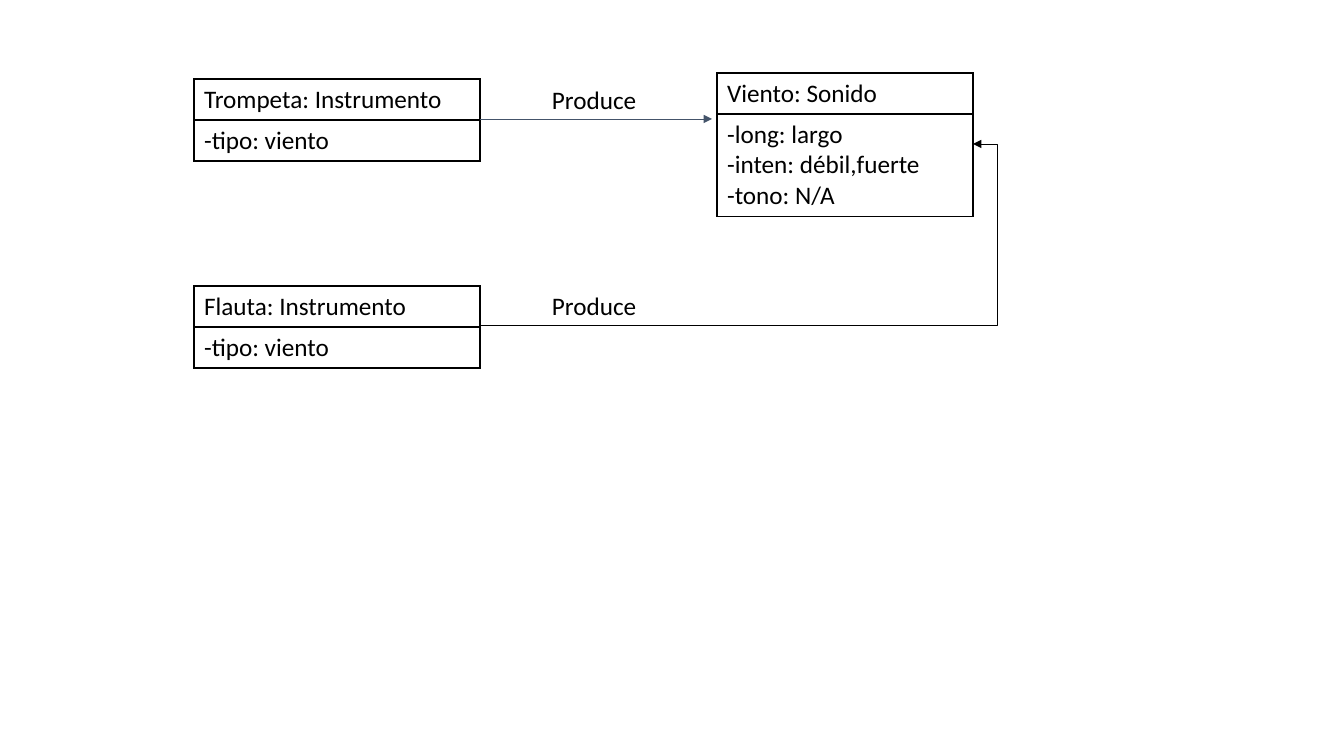
from lxml.etree import SubElement
from pptx import Presentation
from pptx.dml.color import RGBColor
from pptx.enum.shapes import MSO_CONNECTOR
from pptx.enum.text import MSO_AUTO_SIZE
from pptx.oxml import parse_xml
from pptx.oxml.ns import nsdecls, qn
from pptx.util import Pt

# Content: left, top, width, object name, attributes
OBJECTS = [
    (194, 79, 286, "Trompeta: Instrumento", ["-tipo: viento"]),
    (717, 73, 256, "Viento: Sonido",
     ["-long: largo", "-inten: débil,fuerte", "-tono: N/A"]),
    (194, 286, 286, "Flauta: Instrumento", ["-tipo: viento"]),
]
# Kind, start, end, colour key, bend as a share of the width
LINKS = [
    (MSO_CONNECTOR.STRAIGHT, (480, 119), (712, 119), "link", None),
    (MSO_CONNECTOR.ELBOW, (480, 325), (973, 144), "ink", 1.05),
]
LABELS = [("Produce", 542, 79), ("Produce", 542, 285)]
LABEL_SIZE = (106, 40)
ROW_H, LINE_H = 41, 30.5

THEME = {"font": "Calibri", "size": 18, "ink": "000000", "link": "44546A",
         "border": 1, "link_width": 0.5}


def px(n):
    return round(n * 914400 / 100.8)


def write(tf, lines):
    tf.text = "\n".join(lines)
    for p in tf.paragraphs:
        for r in p.runs:
            r.font.name = THEME["font"]
            r.font.size = Pt(THEME["size"])
            r.font.color.rgb = RGBColor.from_string(THEME["ink"])


def add_borders(cell):
    tcPr = cell._tc.get_or_add_tcPr()
    for i, side in enumerate(("lnL", "lnR", "lnT", "lnB")):
        tcPr.insert(i, parse_xml(
            f'<a:{side} {nsdecls("a")} w="{Pt(THEME["border"])}"><a:solidFill>'
            f'<a:srgbClr val="{THEME["ink"]}"/></a:solidFill></a:{side}>'))


def add_object(s, x, y, w, name, attributes):
    rows = [[name], attributes]
    heights = [ROW_H + (len(lines) - 1) * LINE_H for lines in rows]
    table = s.shapes.add_table(2, 1, px(x), px(y), px(w), px(sum(heights))).table
    table.first_row = table.horz_banding = False
    for i, (lines, height) in enumerate(zip(rows, heights)):
        table.rows[i].height = px(height)
        cell = table.cell(i, 0)
        write(cell.text_frame, lines)
        cell.fill.background()
        add_borders(cell)


def add_link(s, kind, start, end, colour, bend):
    link = s.shapes.add_connector(kind, *map(px, start + end))
    link.line.color.rgb = RGBColor.from_string(THEME[colour])
    link.line.width = Pt(THEME["link_width"])
    SubElement(link.line._get_or_add_ln(), qn("a:tailEnd"), type="triangle")
    spPr = link._element.spPr
    SubElement(spPr, qn("a:effectLst"))
    if bend:
        guides = spPr.find(qn("a:prstGeom")).find(qn("a:avLst"))
        SubElement(guides, qn("a:gd"), name="adj1", fmla=f"val {round(bend * 100000)}")


def add_label(s, text, x, y):
    tf = s.shapes.add_textbox(*map(px, (x, y) + LABEL_SIZE)).text_frame
    tf.word_wrap = False
    tf.auto_size = MSO_AUTO_SIZE.SHAPE_TO_FIT_TEXT
    write(tf, [text])


prs = Presentation()
prs.slide_width, prs.slide_height = px(1344), px(756)
s = prs.slides.add_slide(prs.slide_layouts[6])

# Object boxes
for item in OBJECTS:
    add_object(s, *item)

# Arrows and their labels
for item in LINKS:
    add_link(s, *item)
for item in LABELS:
    add_label(s, *item)

prs.save("out.pptx")
